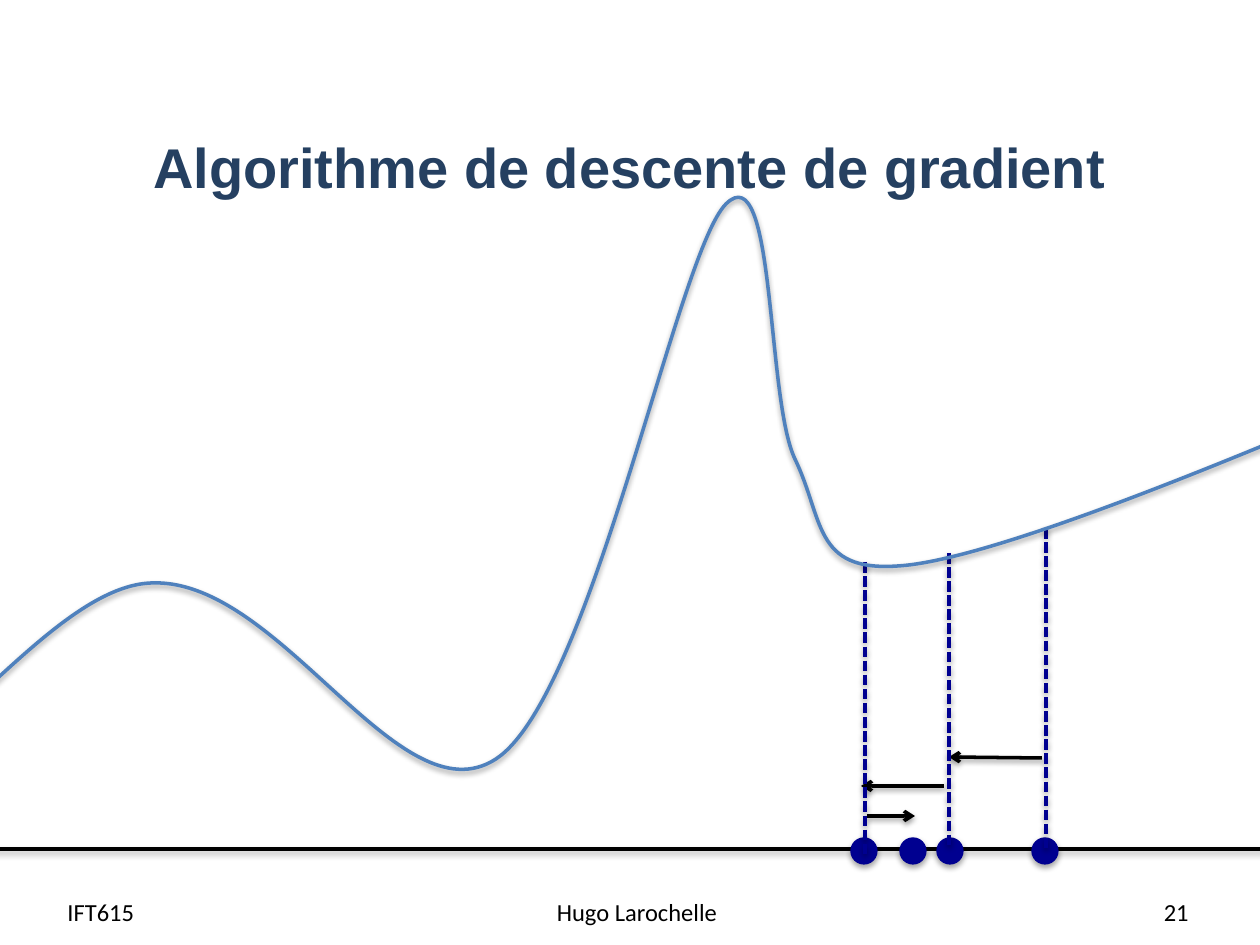
from dataclasses import dataclass

from lxml import etree
from pptx import Presentation
from pptx.dml.color import RGBColor
from pptx.enum.dml import MSO_LINE
from pptx.enum.shapes import MSO_CONNECTOR, MSO_SHAPE
from pptx.enum.text import MSO_ANCHOR, PP_ALIGN
from pptx.oxml import parse_xml
from pptx.oxml.ns import nsdecls, qn
from pptx.util import Pt

EMU_PER_PX = 914400 / 126
BLACK = RGBColor(0x00, 0x00, 0x00)
NAVY = RGBColor(0x00, 0x00, 0x90)
CURVE_BLUE = RGBColor(0x4F, 0x81, 0xBD)
TITLE_BLUE = RGBColor(0x25, 0x40, 0x61)
STRAIGHT = MSO_CONNECTOR.STRAIGHT
ELLIPSE = MSO_SHAPE.OVAL
SYS_DASH = MSO_LINE.SQUARE_DOT
MIDDLE = MSO_ANCHOR.MIDDLE
LEFT, CENTER, RIGHT = PP_ALIGN.LEFT, PP_ALIGN.CENTER, PP_ALIGN.RIGHT

DOT_SIZE = 26
DOT_CENTER_Y = 851


@dataclass(frozen=True)
class Label:
    text: str
    left: int
    top: int
    width: int
    height: int
    align: PP_ALIGN
    font: str = "Calibri"
    size: int = 14
    color: RGBColor = BLACK
    bold: bool = False


@dataclass(frozen=True)
class Segment:
    x1: int
    y1: int
    x2: int
    y2: int
    color: RGBColor = BLACK
    dashed: bool = False
    arrow: bool = True


LABELS = [
    Label("IFT615", 55, 887, 243, 50, LEFT),
    Label("Hugo Larochelle", 437, 887, 400, 50, CENTER),
    Label("21", 907, 887, 294, 50, RIGHT),
    Label("Algorithme de descente de gradient", 63, 88, 1134, 157, CENTER,
          "Arial", 32, TITLE_BLUE, True),
]
AXIS = Segment(-127, 849, 1459, 849)
STEPS = [
    Segment(1042, 758, 949, 757),
    Segment(944, 786, 861, 786),
    Segment(867, 816, 915, 816),
]
PROJECTIONS = [
    Segment(1046, 528, 1046, 850, NAVY, True, False),
    Segment(949, 553, 949, 847, NAVY, True, False),
    Segment(865, 562, 865, 854, NAVY, True, False),
]
DOT_CENTERS_X = [1045, 950, 864, 913]
CURVE_START = (-689, -96)
# Each Bézier piece: two control points, then the end point.
CURVE_PIECES = [
    ((-554, 291), (-421, 679), (-281, 793)),
    ((-141, 906), (21, 588), (151, 583)),
    ((280, 577), (399, 822), (496, 759)),
    ((592, 696), (677, 253), (726, 204)),
    ((776, 154), (766, 398), (795, 459)),
    ((824, 519), (813, 572), (898, 566)),
    ((985, 561), (1207, 469), (1313, 425)),
    ((1418, 381), (1531, 300), (1531, 300)),
]


def px(length: int) -> int:
    return round(length * EMU_PER_PX)


def add_shadow(shape, distance: int = 20000, alpha: int = 38000) -> None:
    """Append a soft downward shadow; the line must be set beforehand."""
    shape._element.spPr.append(parse_xml(
        f'<a:effectLst {nsdecls("a")}>'
        f'<a:outerShdw blurRad="40000" dist="{distance}" dir="5400000" rotWithShape="0">'
        f'<a:srgbClr val="000000"><a:alpha val="{alpha}"/></a:srgbClr>'
        '</a:outerShdw></a:effectLst>'))


def add_label(slide, label: Label) -> None:
    box = slide.shapes.add_textbox(
        px(label.left), px(label.top), px(label.width), px(label.height))
    frame = box.text_frame
    frame.word_wrap = True
    frame.vertical_anchor = MIDDLE
    paragraph = frame.paragraphs[0]
    paragraph.alignment = label.align
    run = paragraph.add_run()
    run.text = label.text
    run.font.name = label.font
    run.font.size = Pt(label.size)
    run.font.bold = label.bold
    run.font.color.rgb = label.color


def add_segment(slide, segment: Segment) -> None:
    connector = slide.shapes.add_connector(
        STRAIGHT, px(segment.x1), px(segment.y1), px(segment.x2), px(segment.y2))
    line = connector.line
    line.color.rgb = segment.color
    line.width = Pt(2)
    if segment.dashed:
        line.dash_style = SYS_DASH
    if segment.arrow:
        etree.SubElement(line._get_or_add_ln(), qn("a:tailEnd"), type="arrow")
    add_shadow(connector)


def add_dot(slide, center_x: int) -> None:
    dot = slide.shapes.add_shape(
        ELLIPSE, px(center_x - DOT_SIZE // 2), px(DOT_CENTER_Y - DOT_SIZE // 2),
        px(DOT_SIZE), px(DOT_SIZE))
    dot.fill.solid()
    dot.fill.fore_color.rgb = NAVY
    dot.line.color.rgb = NAVY
    dot.line.width = Pt(0.75)
    add_shadow(dot, 23000, 35000)


def add_curve(slide) -> None:
    """Build the outline through the end points, then bend each side."""
    builder = slide.shapes.build_freeform(*CURVE_START, scale=EMU_PER_PX)
    builder.add_line_segments([piece[-1] for piece in CURVE_PIECES], close=False)
    curve = builder.convert_to_shape()
    start_x, start_y = CURVE_START
    sides = list(curve._element.iter(qn("a:lnTo")))
    for side, piece in zip(sides, CURVE_PIECES):
        bend = etree.Element(qn("a:cubicBezTo"))
        for x, y in piece:
            etree.SubElement(bend, qn("a:pt"), x=str(x - start_x), y=str(y - start_y))
        side.getparent().replace(side, bend)
    curve.fill.background()
    curve.line.color.rgb = CURVE_BLUE
    curve.line.width = Pt(2)
    add_shadow(curve)


def main() -> None:
    presentation = Presentation()
    presentation.slide_width = px(1260)
    presentation.slide_height = px(945)
    slide = presentation.slides.add_slide(presentation.slide_layouts[6])
    for label in LABELS:
        add_label(slide, label)
    add_segment(slide, AXIS)
    for center_x in DOT_CENTERS_X:
        add_dot(slide, center_x)
    for segment in STEPS + PROJECTIONS:
        add_segment(slide, segment)
    add_curve(slide)
    presentation.save("out.pptx")


if __name__ == "__main__":
    main()
